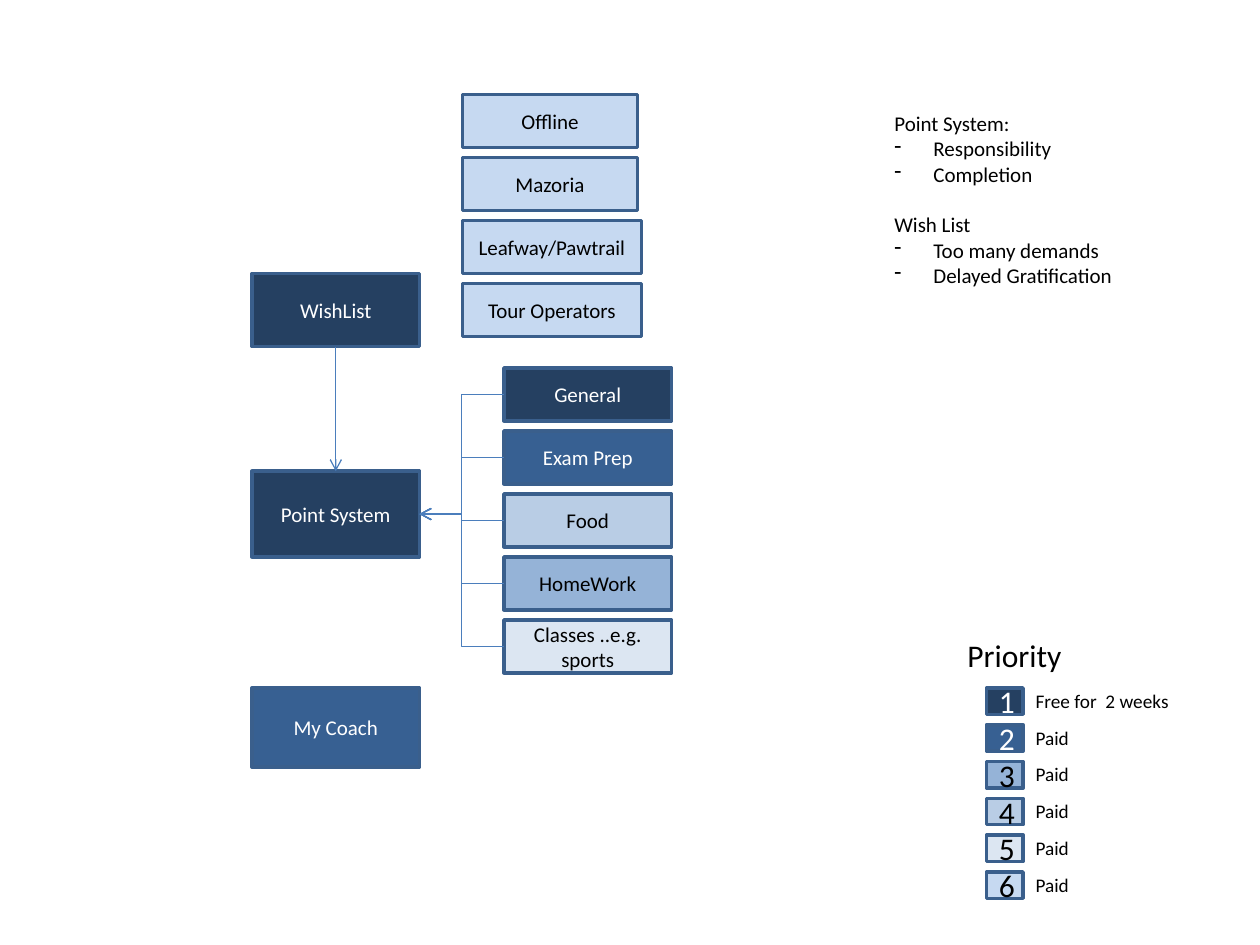
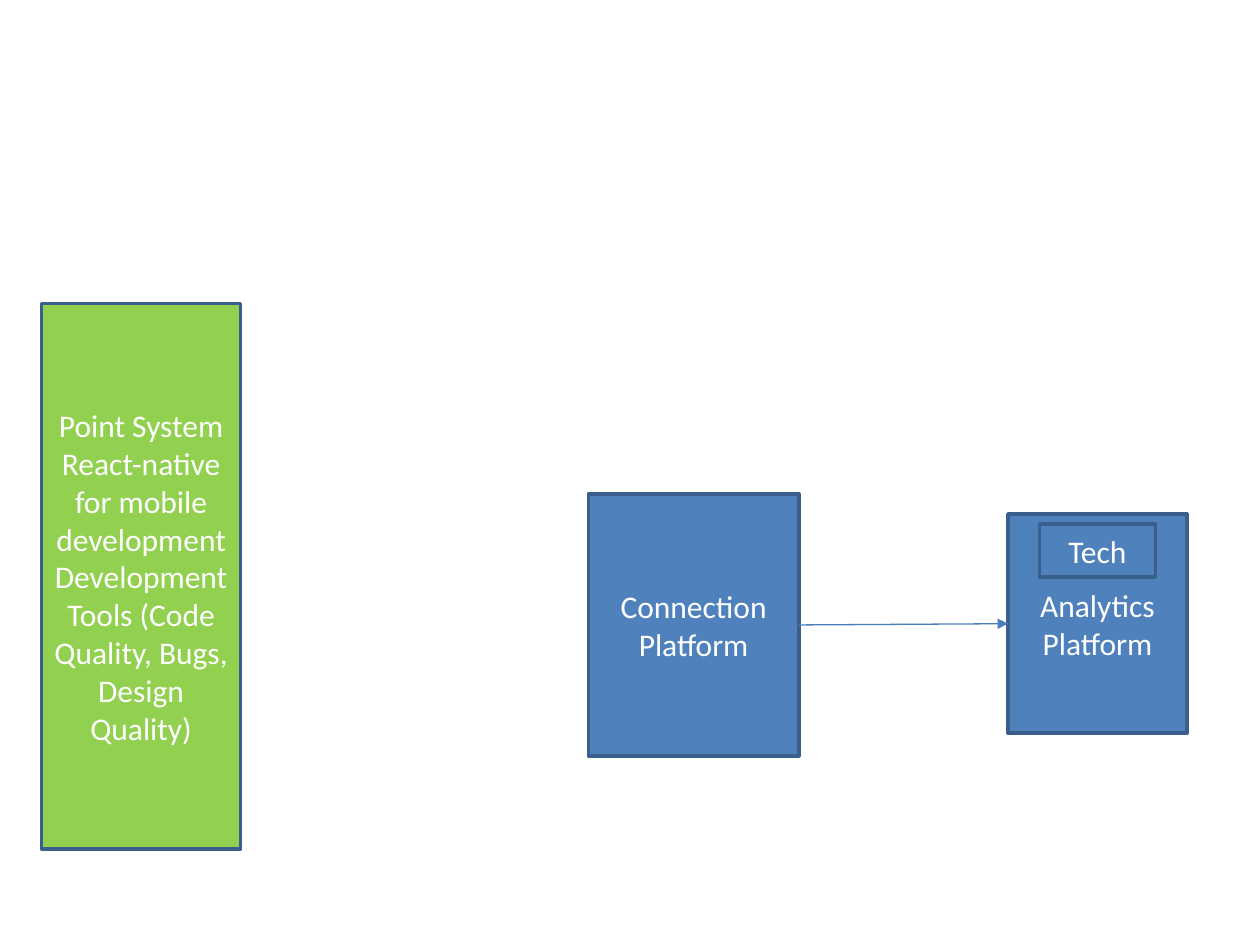
from dataclasses import dataclass

from lxml import etree
from pptx import Presentation
from pptx import util as u
from pptx.dml.color import RGBColor
from pptx.enum import shapes, text
from pptx.oxml import ns

TOP, LEFT, BOTTOM, RIGHT = range(4)


@dataclass(frozen=True)
class Theme:
    font: str = "Calibri"
    white: str = "FFFFFF"
    black: str = "000000"
    outline: str = "3A5F8C"
    connector: str = "4B7EBC"
    green: str = "92D050"
    blue: str = "4F81BD"
    # Fills for priority 1 to 6, darkest first
    priority: tuple = ("254061", "376092", "95B3D7", "B9CDE5", "DCE6F2", "C6D9F1")
    large: int = 18
    body: int = 12
    small: int = 11


def write(tf, lines, size, color, font, align=text.PP_ALIGN.LEFT, bullet="-", group_gap=14.6):
    """Write lines; a leading bullet indents, a later heading opens a new group."""
    tf.word_wrap = True
    for i, line in enumerate(lines):
        p = tf.paragraphs[0] if i == 0 else tf.add_paragraph()
        p.alignment = align
        if line.startswith(bullet):
            line = line.removeprefix(bullet)
            pPr = p._p.get_or_add_pPr()
            pPr.set("marL", str(u.Inches(0.31)))
            pPr.set("indent", str(-u.Inches(0.31)))
            etree.SubElement(pPr, ns.qn("a:buChar"), char=bullet)
        elif i and align == text.PP_ALIGN.LEFT:
            p.space_before = u.Pt(group_gap)
        r = p.add_run()
        r.text = line
        r.font.name, r.font.size = font, u.Pt(size)
        r.font.color.rgb = RGBColor.from_string(color)


class Deck:
    def __init__(self, theme):
        self.t = theme
        self.prs = Presentation()
        self.prs.slide_width, self.prs.slide_height = u.Inches(10), u.Inches(7.5)
        self.s = None

    def new_slide(self):
        self.s = self.prs.slides.add_slide(self.prs.slide_layouts[6])

    def box(self, lines, x, y, w, h, fill, size=None, color=None):
        sp = self.s.shapes.add_shape(shapes.MSO_SHAPE.RECTANGLE, *map(u.Inches, (x, y, w, h)))
        sp.shadow.inherit = False
        sp.fill.solid()
        sp.fill.fore_color.rgb = RGBColor.from_string(fill)
        sp.line.color.rgb = RGBColor.from_string(self.t.outline)
        sp.line.width = u.Pt(2)
        sp.text_frame.vertical_anchor = text.MSO_ANCHOR.MIDDLE
        write(sp.text_frame, lines, size or self.t.body, color or self.t.white,
              self.t.font, align=text.PP_ALIGN.CENTER)
        return sp

    def ranked_box(self, label, x, y, w, h, rank, size=None):
        """A box coloured by its priority."""
        color = self.t.white if rank <= 2 else self.t.black
        return self.box([label], x, y, w, h, self.t.priority[rank - 1], size, color)

    def label(self, lines, x, y, w, h, size):
        tf = self.s.shapes.add_textbox(*map(u.Inches, (x, y, w, h))).text_frame
        write(tf, lines, size, self.t.black, self.t.font)
        tf.auto_size = text.MSO_AUTO_SIZE.SHAPE_TO_FIT_TEXT

    def arrow(self, start, start_side, end, end_side, kind="STRAIGHT", head="arrow"):
        cx = self.s.shapes.add_connector(shapes.MSO_CONNECTOR[kind], 0, 0, 0, 0)
        cx.begin_connect(start, start_side)
        cx.end_connect(end, end_side)
        cx.line.color.rgb = RGBColor.from_string(self.t.connector)
        cx.line.width = u.Pt(0.75)
        etree.SubElement(cx.line._get_or_add_ln(), ns.qn("a:tailEnd"), type=head)
        etree.SubElement(cx._element.spPr, ns.qn("a:effectLst"))


def point_system_slide(d):
    t = d.t
    d.new_slide()

    # Main modules
    points = d.ranked_box("Point System", 2, 3.74, 1.33, 0.68, 1)
    wishes = d.ranked_box("WishList", 2, 2.17, 1.33, 0.58, 1)
    d.ranked_box("My Coach", 2, 5.46, 1.33, 0.63, 2)
    d.arrow(wishes, BOTTOM, points, TOP)

    # Wish list suppliers
    suppliers = [("Offline", 1.39), ("Mazoria", 1.39),
                 ("Leafway/Pawtrail", 1.42), ("Tour Operators", 1.42)]
    for i, (name, width) in enumerate(suppliers):
        d.ranked_box(name, 3.67, 0.75 + 0.5 * i, width, 0.42, 6)

    # Sources of points
    sources = [("General", 1), ("Exam Prep", 2), ("Food", 4),
               ("HomeWork", 3), ("Classes ..e.g. sports", 5)]
    for i, (name, rank) in enumerate(sources):
        source = d.ranked_box(name, 4, 2.92 + 0.5 * i, 1.33, 0.42, rank)
        d.arrow(source, LEFT, points, RIGHT, kind="ELBOW")

    # Priority legend
    d.label(["Priority"], 7.58, 5, 1, 0.4, t.large)
    for i, terms in enumerate(["Free for  2 weeks"] + ["Paid"] * 5):
        y = 5.46 + 1.46 * i / 5
        d.ranked_box(str(i + 1), 7.83, y, 0.29, 0.21, i + 1, t.large)
        d.label([terms], 8.12, y - 0.04, 1.38, 0.29, t.small)

    # Notes on aims
    d.label(["Point System:", "-Responsibility", "-Completion",
             "Wish List", "-Too many demands", "-Delayed Gratification"],
            7, 0.83, 2.67, 1.51, t.body)


def platform_slide(d):
    t = d.t
    d.new_slide()

    # Development stack
    d.box(["Point System", "React-native for mobile development",
           "Development Tools (Code Quality, Bugs, Design Quality)"],
          0.33, 2.41, 1.58, 4.33, t.green, t.large)

    # Platforms
    analytics = d.box(["Analytics Platform"], 8, 4.08, 1.42, 1.74, t.blue, t.large)
    d.box(["Tech"], 8.25, 4.16, 0.92, 0.42, t.blue, t.large)
    connection = d.box(["Connection Platform"], 4.67, 3.92, 1.67, 2.08, t.blue, t.large)
    d.arrow(connection, RIGHT, analytics, LEFT, head="triangle")


def main():
    d = Deck(Theme())
    point_system_slide(d)
    platform_slide(d)
    d.prs.save("out.pptx")


if __name__ == "__main__":
    main()
